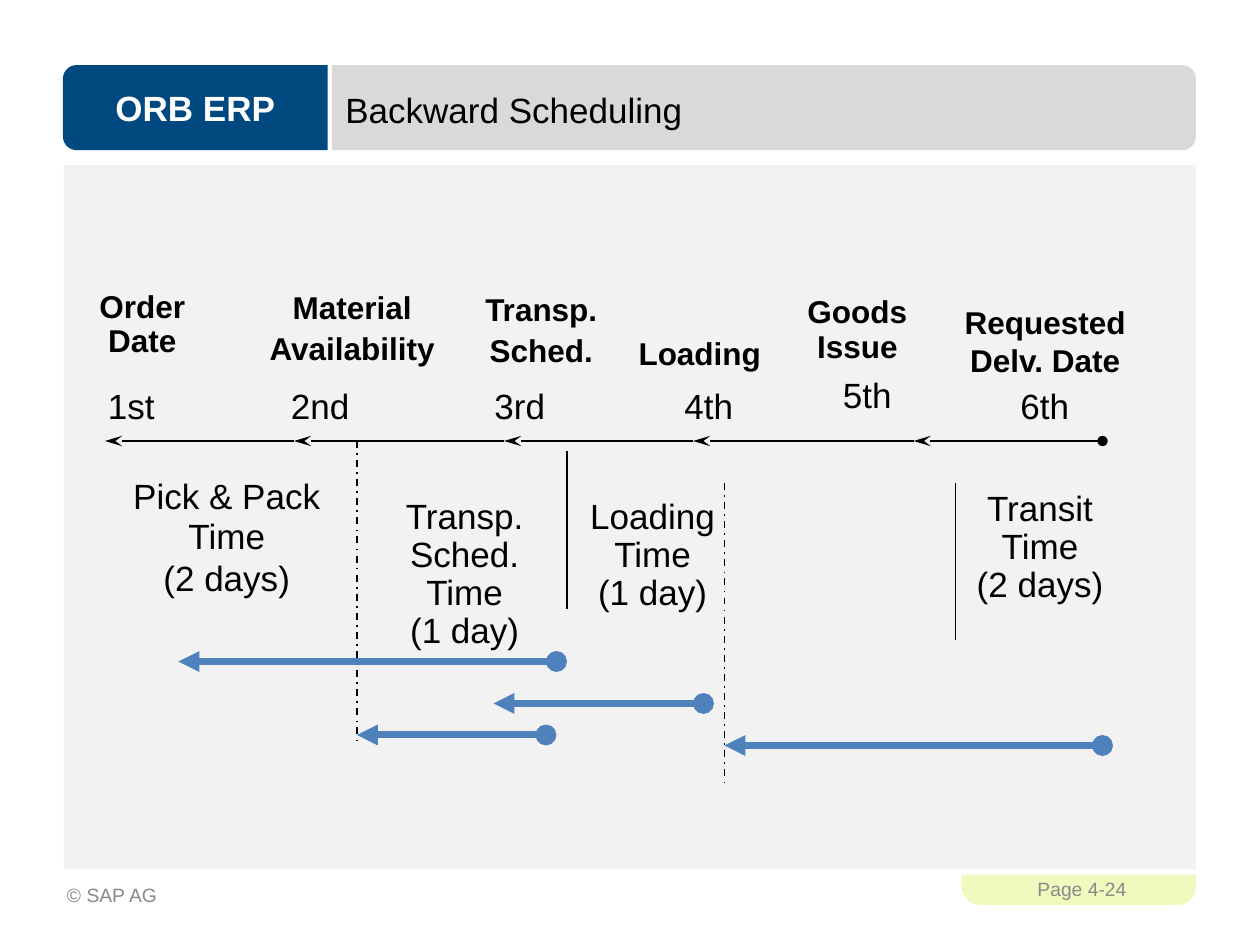
from itertools import pairwise
from math import cos, pi, sin

from lxml.etree import SubElement
from pptx import Presentation
from pptx.dml.color import RGBColor
from pptx.enum.dml import MSO_LINE_DASH_STYLE as Dash
from pptx.enum.shapes import MSO_CONNECTOR as Connector, MSO_SHAPE as Preset
from pptx.enum.text import MSO_ANCHOR as Anchor, MSO_AUTO_SIZE as AutoSize, PP_ALIGN as Align
from pptx.oxml.ns import qn
from pptx.util import Inches, Pt

UNITS_PER_INCH = 12
BLACK, WHITE, GREY, BLUE = "000000", "FFFFFF", "898989", "4F81BD"
AXIS_ROW = 42
STAGE_COLS = [10, 28, 48, 66, 87, 105]
DAY_SIZE = (8, 5.2)

MILESTONES = [
    (["Order", "Date"], (7, 27, 13.1, 8), 0.9, Anchor.MIDDLE),
    (["Material", "Availability"], (26, 26, 15.1, 10), 1.1, Anchor.MIDDLE),
    (["Transp.", "Sched."], (45, 26.4, 13.1, 9.6), 1.1, Anchor.MIDDLE),
    (["Loading"], (60.1, 26, 13.1, 10), 0.9, Anchor.BOTTOM),
    (["Goods", "Issue"], (75.1, 27, 13.1, 9), 0.9, Anchor.MIDDLE),
    (["Requested", "Delv. Date"], (92, 28, 15.1, 9), 1, Anchor.MIDDLE),
]
DAYS = [
    ("1st", 8.5, 36),
    ("2nd", 26.5, 36),
    ("3rd", 45.5, 36),
    ("4th", 63.5, 36),
    ("5th", 78.6, 35),
    ("6th", 95.5, 36),
]
DURATIONS = [
    (["Pick & Pack", "Time", "(2 days)"], (9.1, 46, 25, 11.6), [0.6, 1, 1], True),
    (["Transp.", "Sched.", "Time", "(1 day)"], (37, 47, 14.5, 15.6), 0.9, True),
    (["Loading", "Time", "(1 day)"], (55, 47, 14.3, 12), 0.9, False),
    (["Transit", "Time", "(2 days)"], (91.8, 46.2, 14.5, 12), 0.9, False),
]
DIVIDERS = [
    (54, 43, 58, None),
    (34, 42, 71, Dash.DASH_DOT),
    (69, 46, 75, Dash.DASH_DOT),
    (91, 46, 61, None),
]
SPANS = [(53, 17, 63), (67, 47, 67), (52, 34, 70), (105, 69, 71)]


def units(*values):
    return [Inches(value / UNITS_PER_INCH) for value in values]


def paint(color_format, hex_color):
    color_format.rgb = RGBColor.from_string(hex_color)


def fill_plain(shape, hex_color):
    shape.shadow.inherit = False
    shape.fill.solid()
    paint(shape.fill.fore_color, hex_color)
    shape.line.fill.background()


def write(frame, lines, size, color=BLACK, bold=False, spacing=1, align=Align.CENTER):
    spacings = spacing if isinstance(spacing, list) else [spacing] * len(lines)
    for index, (line, line_spacing) in enumerate(zip(lines, spacings)):
        paragraph = frame.add_paragraph() if index else frame.paragraphs[0]
        paragraph.alignment = align
        paragraph.line_spacing = line_spacing
        run = paragraph.add_run()
        run.text = line
        run.font.name = "Arial"
        run.font.size = Pt(size)
        run.font.bold = bold
        paint(run.font.color, color)


def add_label(slide, lines, box, size, wrap=True, anchor=Anchor.MIDDLE, grow=False, **style):
    frame = slide.shapes.add_textbox(*units(*box)).text_frame
    frame.word_wrap = wrap
    frame.vertical_anchor = anchor
    frame.auto_size = AutoSize.SHAPE_TO_FIT_TEXT if grow else AutoSize.NONE
    write(frame, lines, size, **style)


def add_block(slide, preset, box, color):
    block = slide.shapes.add_shape(preset, *units(*box))
    fill_plain(block, color)
    return block


def add_band(slide, square_col, round_col, color, top=6.2, bottom=14.3, radius=1.3, steps=8):
    inward = 1 if square_col > round_col else -1
    angles = [pi / 2 * step / steps for step in range(steps + 1)]
    upper = [
        (round_col + inward * radius * (1 - sin(angle)), top + radius * (1 - cos(angle)))
        for angle in angles
    ]
    lower = [(col, top + bottom - row) for col, row in reversed(upper)]
    outline = [(square_col, top), *upper, *lower, (square_col, bottom)]
    points = [tuple(units(*point)) for point in outline]
    builder = slide.shapes.build_freeform(*points[0])
    builder.add_line_segments(points[1:], close=True)
    band = builder.convert_to_shape()
    fill_plain(band, color)
    return band


def add_rule(slide, start, end, color=BLACK, width=1, dash=None, head=None, tail=None, tail_length="med"):
    rule = slide.shapes.add_connector(Connector.STRAIGHT, *units(*start, *end))
    rule.line.width = Pt(width)
    paint(rule.line.color, color)
    if dash:
        rule.line.dash_style = dash
    properties = rule._element.spPr
    outline = properties.find(qn("a:ln"))
    for tag, kind, length in (("a:headEnd", head, "med"), ("a:tailEnd", tail, tail_length)):
        if kind:
            SubElement(outline, qn(tag), type=kind, w="med", len=length)
    SubElement(properties, qn("a:effectLst"))


def add_page_frame(slide):
    page_tab = add_block(slide, Preset.ROUNDED_RECTANGLE, (91.6, 81.4, 22.3, 4.8), "F1FABE")
    page_tab.adjustments[0] = 0.37
    add_block(slide, Preset.RECTANGLE, (90.1, 80.4, 26.8, 2.9), WHITE)
    add_block(slide, Preset.RECTANGLE, (6.1, 15.7, 107.8, 67.1), "F2F2F2")
    course = add_band(slide, 31.2, 6, "004880")
    course.text_frame.vertical_anchor = Anchor.MIDDLE
    write(course.text_frame, ["ORB ERP"], 20, color=WHITE, bold=True)
    add_band(slide, 31.6, 113.9, "D9D9D9")
    add_label(slide, ["Page 4-24"], (92.2, 82.3, 21.7, 4.8), 11, color=GREY)
    add_label(slide, ["© SAP AG"], (5.2, 82.8, 54, 4.8), 11, color=GREY, align=Align.LEFT)
    add_label(slide, ["Backward Scheduling"], (31.7, 6.5, 80, 7.8), 20, align=Align.LEFT)


def add_timeline(slide):
    for lines, box, spacing, anchor in MILESTONES:
        add_label(slide, lines, box, 18, wrap=False, anchor=anchor, bold=True, spacing=spacing)
    for day, col, row in DAYS:
        add_label(slide, [day], (col, row, *DAY_SIZE), 20, wrap=False, anchor=Anchor.TOP, grow=True)
    for earlier, later in pairwise(STAGE_COLS):
        origin = "oval" if later == STAGE_COLS[-1] else None
        add_rule(
            slide, (later, AXIS_ROW), (earlier, AXIS_ROW),
            head=origin, tail="stealth", tail_length="lg",
        )


def add_durations(slide):
    for lines, box, spacing, wrap in DURATIONS:
        add_label(slide, lines, box, 20, wrap=wrap, anchor=Anchor.TOP, grow=True, spacing=spacing)
    for col, top, bottom, dash in DIVIDERS:
        add_rule(slide, (col, top), (col, bottom), dash=dash)
    for finish, start, row in SPANS:
        add_rule(slide, (finish, row), (start, row), BLUE, 4, head="oval", tail="triangle")


def main():
    deck = Presentation()
    deck.slide_width, deck.slide_height = Inches(10), Inches(7.5)
    slide = deck.slides.add_slide(deck.slide_layouts[6])
    add_page_frame(slide)
    add_timeline(slide)
    add_durations(slide)
    deck.save("out.pptx")


if __name__ == "__main__":
    main()
